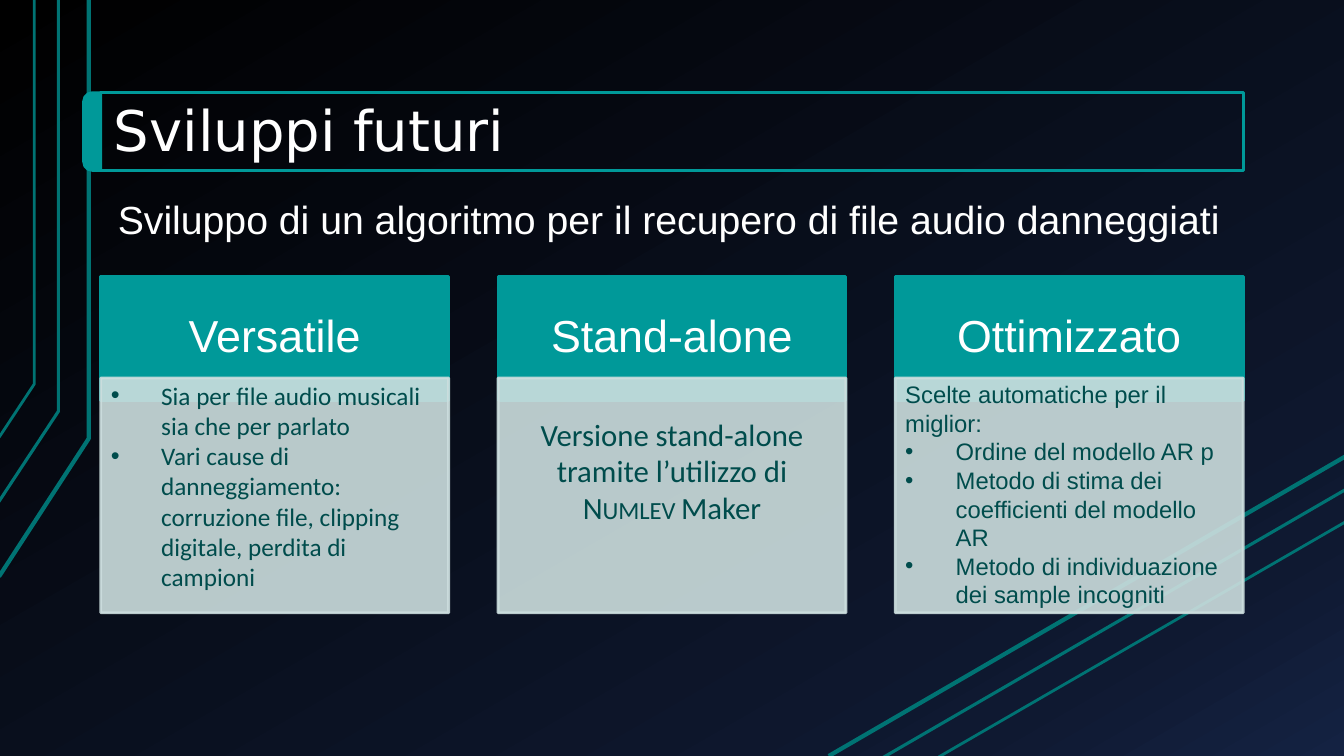
from copy import deepcopy
from dataclasses import dataclass

from lxml.etree import SubElement
from pptx import Presentation
from pptx.dml.color import RGBColor
from pptx.enum.shapes import MSO_CONNECTOR, MSO_SHAPE
from pptx.enum.text import MSO_ANCHOR, MSO_AUTO_SIZE, PP_ALIGN
from pptx.oxml.ns import qn
from pptx.shapes.autoshape import Shape
from pptx.slide import Slide
from pptx.text.text import TextFrame, _Paragraph as Paragraph
from pptx.util import Inches, Pt

WHITE = RGBColor(0xFF, 0xFF, 0xFF)
TEAL = RGBColor(0x00, 0x99, 0x99)
LINE_TEAL = RGBColor(0x00, 0x73, 0x73)
TEXT_TEAL = RGBColor(0x00, 0x4C, 0x4C)
PANEL = RGBColor(0xCC, 0xDE, 0xDE)
BACKGROUND_STOPS = (
    (0, RGBColor(0x00, 0x00, 0x00)),
    (0.85, RGBColor(0x0F, 0x19, 0x31)),
    (1, RGBColor(0x14, 0x22, 0x42)),
)

LEFT, CONTENT_WIDTH = 1, 11.33
COLUMN_WIDTH = 3.45
HEADER_TOP, HEADER_HEIGHT = 2.74, 1.23
PANEL_TOP, PANEL_HEIGHT = 3.75, 2.33


@dataclass(frozen=True)
class CircuitLine:
    points: tuple[tuple[float, float], ...]
    width: float


@dataclass(frozen=True)
class Item:
    runs: tuple[str, ...]
    bullet: bool = False
    small_caps_run: int = -1


@dataclass(frozen=True)
class Column:
    heading: str
    items: tuple[Item, ...]
    font: str
    size: float
    text_top: float
    text_height: float
    alignment: PP_ALIGN = PP_ALIGN.LEFT


BENT_LINES = (
    CircuitLine(((-0.01, 5.72), (0.88, 4.35), (0.88, 0)), 3),
    CircuitLine(((-0.02, 4.99), (0.58, 4.08), (0.58, 0)), 2.25),
    CircuitLine(((-0.01, 4.34), (0.34, 3.81), (0.34, 0)), 2),
)
DIAGONAL_LINES = (
    CircuitLine(((8.22, 7.5), (13.34, 4.53)), 3),
    CircuitLine(((8.75, 7.52), (13.34, 4.86)), 2.25),
    CircuitLine(((9.31, 7.51), (13.34, 5.18)), 2),
)
COLUMNS = (
    Column("Versatile", (
        Item(("Sia per file audio musicali sia che per parlato",), bullet=True),
        Item(("Vari cause di danneggiamento: corruzione file, clipping digitale, "
              "perdita di campioni",), bullet=True),
    ), "Calibri", 18, 3.72, 2.22),
    Column("Stand-alone", (
        Item(("Versione stand-alone tramite l’utilizzo di ", "Numlev ", "Maker"),
             small_caps_run=1),
    ), "Calibri", 22, 4.07, 1.21, PP_ALIGN.CENTER),
    Column("Ottimizzato", (
        Item(("Scelte automatiche per il miglior:",)),
        Item(("Ordine del modello AR p",), bullet=True),
        Item(("Metodo di stima dei coefficienti del modello AR",), bullet=True),
        Item(("Metodo di individuazione dei sample incogniti",), bullet=True),
    ), "Arial", 17, 3.72, 2.39),
)


def paint_background(slide: Slide) -> None:
    fill = slide.background.fill
    fill.gradient()
    fill.gradient_angle = 300
    stop_list = slide.element.find(".//" + qn("a:gsLst"))
    stop_list.append(deepcopy(stop_list[-1]))
    for stop, (position, color) in zip(fill.gradient_stops, BACKGROUND_STOPS):
        stop.position = position
        stop.color.rgb = color


def draw_bent_line(slide: Slide, line: CircuitLine) -> None:
    start, *rest = [(Inches(x), Inches(y)) for x, y in line.points]
    builder = slide.shapes.build_freeform(*start)
    builder.add_line_segments(rest, close=False)
    shape = builder.convert_to_shape()
    shape.shadow.inherit = False
    shape.fill.background()
    shape.line.color.rgb = LINE_TEAL
    shape.line.width = Pt(line.width)


def draw_diagonal_line(slide: Slide, line: CircuitLine) -> None:
    (x1, y1), (x2, y2) = line.points
    connector = slide.shapes.add_connector(
        MSO_CONNECTOR.STRAIGHT, Inches(x1), Inches(y1), Inches(x2), Inches(y2))
    connector.line.color.rgb = LINE_TEAL
    connector.line.width = Pt(line.width)
    SubElement(connector.element.spPr, qn("a:effectLst"))


def add_block(slide: Slide, kind: MSO_SHAPE, left: float, top: float,
              width: float, height: float, color: RGBColor) -> Shape:
    """Add a shape whose fill and outline share one colour."""
    shape = slide.shapes.add_shape(
        kind, Inches(left), Inches(top), Inches(width), Inches(height))
    shape.shadow.inherit = False
    shape.fill.solid()
    shape.fill.fore_color.rgb = color
    shape.line.color.rgb = color
    shape.line.width = Pt(2)
    return shape


def add_text_box(slide: Slide, left: float, top: float,
                 width: float, height: float) -> TextFrame:
    frame = slide.shapes.add_textbox(
        Inches(left), Inches(top), Inches(width), Inches(height)).text_frame
    frame.word_wrap = True
    return frame


def style_paragraph(paragraph: Paragraph, font: str, size: float, color: RGBColor,
                    alignment: PP_ALIGN, line_spacing: float = 1.0) -> None:
    paragraph.alignment = alignment
    paragraph.line_spacing = line_spacing
    paragraph.font.name = font
    paragraph.font.size = Pt(size)
    paragraph.font.color.rgb = color


def add_bullet(paragraph: Paragraph) -> None:
    properties = paragraph._p.get_or_add_pPr()
    properties.set("marL", str(Inches(0.5)))
    properties.set("indent", str(-Inches(0.5)))
    run_defaults = properties.find(qn("a:defRPr"))
    for tag, attributes in (("a:buFont", {"typeface": "Arial"}), ("a:buChar", {"char": "•"})):
        run_defaults.addprevious(properties.makeelement(qn(tag), attributes))


def draw_title(slide: Slide) -> None:
    title = slide.shapes.title
    title.left, title.top = Inches(LEFT), Inches(0.92)
    title.width, title.height = Inches(CONTENT_WIDTH), Inches(0.77)
    title.line.color.rgb = TEAL
    title.line.width = Pt(2)
    frame = title.text_frame
    frame.text = "Sviluppi futuri"
    frame.auto_size = MSO_AUTO_SIZE.NONE
    frame.vertical_anchor = MSO_ANCHOR.BOTTOM
    frame.margin_left = frame.margin_right = Inches(0.13)
    frame.margin_top = frame.margin_bottom = Inches(0.07)
    style_paragraph(frame.paragraphs[0], "DejaVu Sans", 40, WHITE, PP_ALIGN.LEFT, 0.9)
    tab = add_block(slide, MSO_SHAPE.ROUND_2_SAME_RECTANGLE, 0.53, 1.22, 0.77, 0.17, TEAL)
    tab.adjustments[0] = 0.5
    tab.rotation = 270


def draw_subtitle(slide: Slide) -> None:
    paragraph = add_text_box(slide, 1.07, 1.94, 11.18, 0.53).paragraphs[0]
    paragraph.text = "Sviluppo di un algoritmo per il recupero di file audio danneggiati"
    style_paragraph(paragraph, "Arial", 28, WHITE, PP_ALIGN.LEFT, 0.9)


def draw_column(slide: Slide, column: Column, left: float) -> None:
    header = add_block(slide, MSO_SHAPE.RECTANGLE, left, HEADER_TOP,
                       COLUMN_WIDTH, HEADER_HEIGHT, TEAL)
    header.text_frame.vertical_anchor = MSO_ANCHOR.MIDDLE
    heading = header.text_frame.paragraphs[0]
    heading.text = column.heading
    style_paragraph(heading, "Arial", 32, WHITE, PP_ALIGN.CENTER, 0.9)

    panel = add_block(slide, MSO_SHAPE.RECTANGLE, left, PANEL_TOP,
                      COLUMN_WIDTH, PANEL_HEIGHT, PANEL)
    for color in panel.element.spPr.iter(qn("a:srgbClr")):
        SubElement(color, qn("a:alpha"), val="90000")

    frame = add_text_box(slide, left, column.text_top, COLUMN_WIDTH, column.text_height)
    for index, item in enumerate(column.items):
        paragraph = frame.add_paragraph() if index else frame.paragraphs[0]
        style_paragraph(paragraph, column.font, column.size, TEXT_TEAL, column.alignment)
        if item.bullet:
            add_bullet(paragraph)
        for run_index, text in enumerate(item.runs):
            run = paragraph.add_run()
            run.text = text
            if run_index == item.small_caps_run:
                run._r.get_or_add_rPr().set("cap", "small")


def main() -> None:
    presentation = Presentation()
    presentation.slide_width, presentation.slide_height = Inches(13.33), Inches(7.5)
    slide = presentation.slides.add_slide(presentation.slide_layouts.get_by_name("Title Only"))
    paint_background(slide)
    for line in BENT_LINES:
        draw_bent_line(slide, line)
    for line in DIAGONAL_LINES:
        draw_diagonal_line(slide, line)
    draw_subtitle(slide)
    draw_title(slide)
    step = (CONTENT_WIDTH - COLUMN_WIDTH) / (len(COLUMNS) - 1)
    for index, column in enumerate(COLUMNS):
        draw_column(slide, column, LEFT + index * step)
    presentation.save("out.pptx")


if __name__ == "__main__":
    main()
